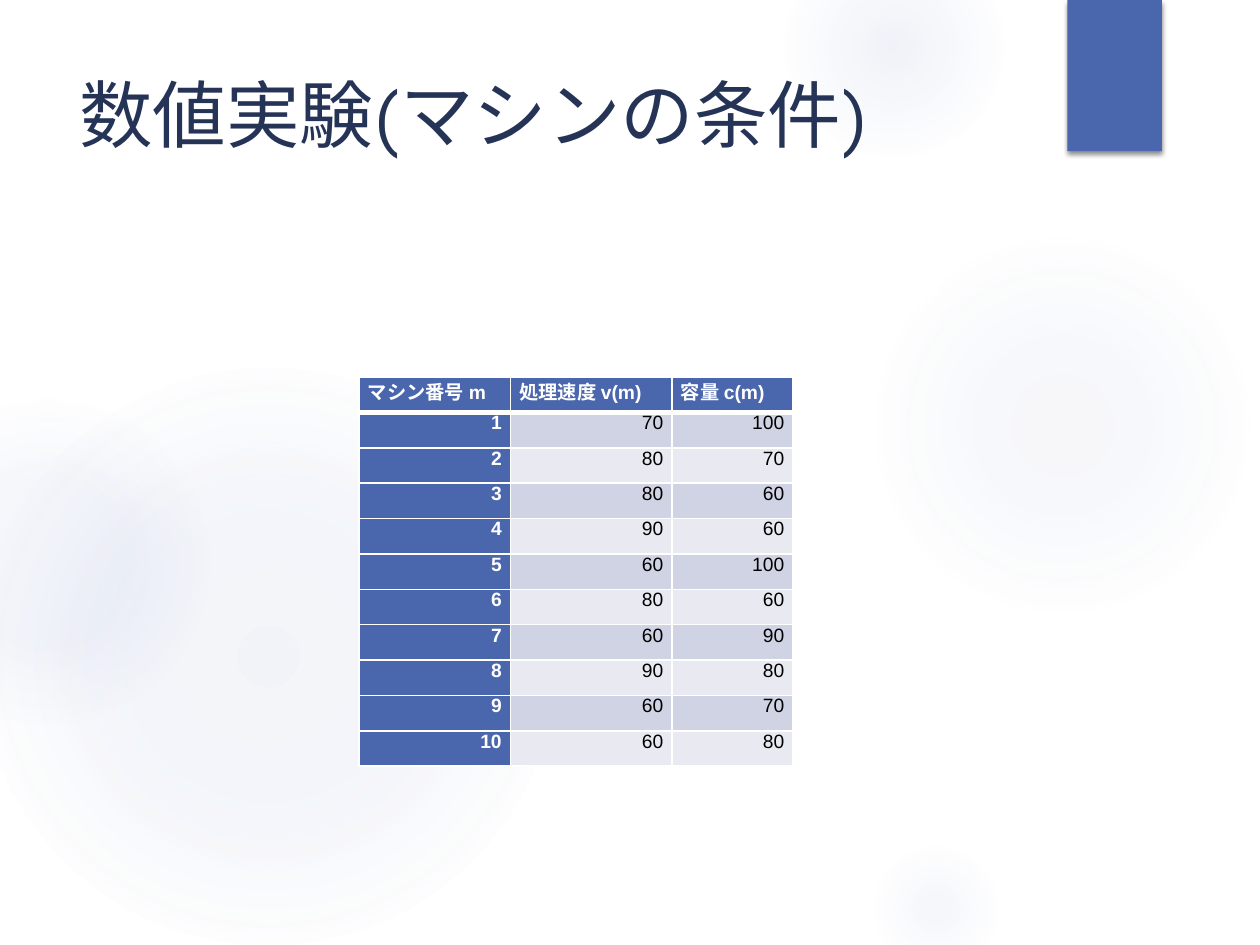
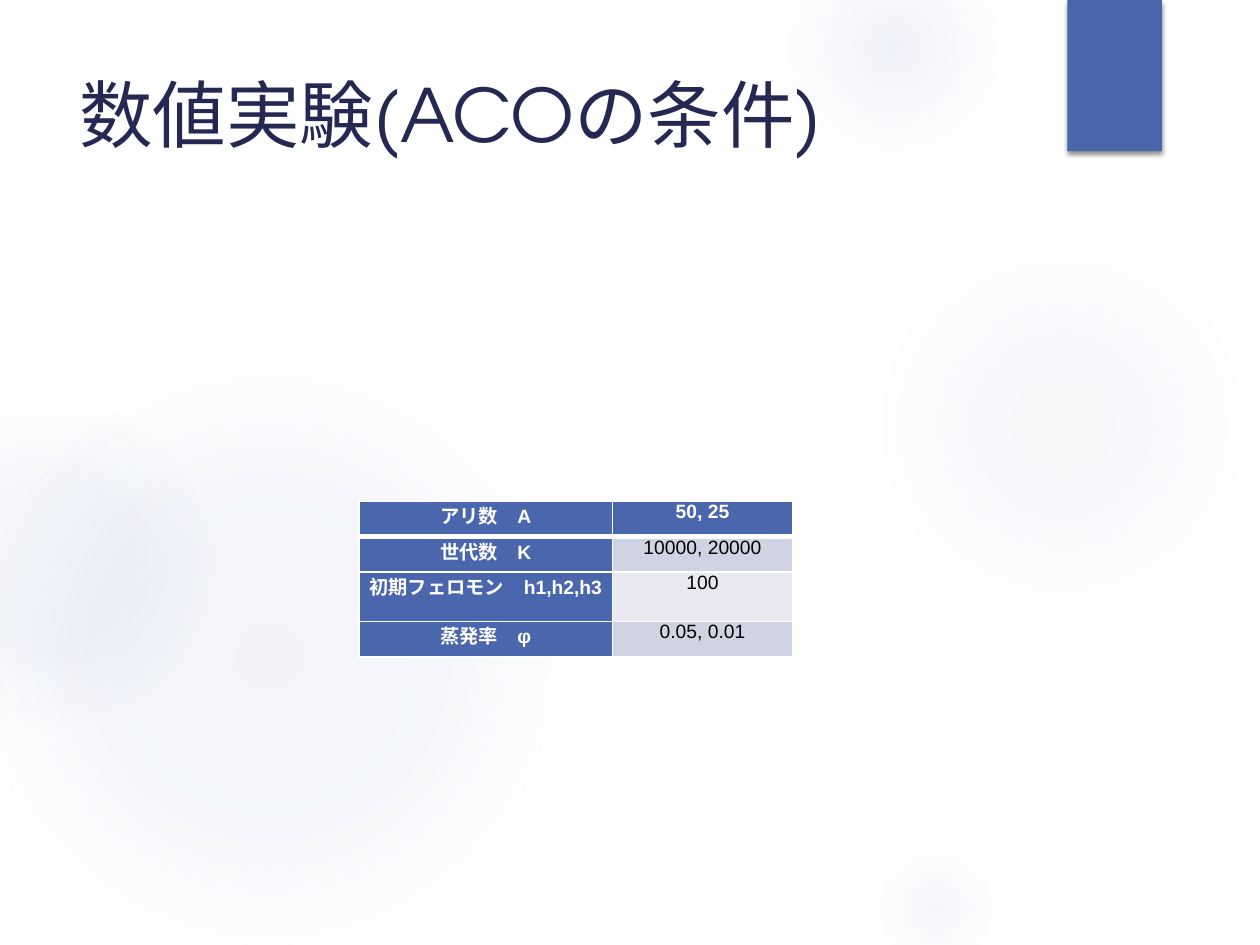
from pptx import Presentation
from pptx.dml.color import RGBColor
from pptx.enum.shapes import MSO_SHAPE as SHAPE
from pptx.enum.text import MSO_ANCHOR as ANCHOR, MSO_AUTO_SIZE as AUTO, PP_ALIGN as ALIGN
from pptx.oxml import parse_xml
from pptx.oxml.ns import nsdecls
from pptx.util import Pt

WHITE = RGBColor(0xFF, 0xFF, 0xFF)
BLACK = RGBColor(0x00, 0x00, 0x00)
BLUE = RGBColor(0x4A, 0x66, 0xAC)
GLOW = RGBColor(0x90, 0xA2, 0xCF)
NAVY = RGBColor(0x25, 0x33, 0x56)
INDIGO = RGBColor(0x24, 0x28, 0x52)
BANDS = RGBColor(0xD0, 0xD3, 0xE3), RGBColor(0xE9, 0xEA, 0xF1)
TITLE_FONT, TABLE_FONT = "TeX Gyre Adventor", "Arial"
TABLE_LEFT, ROW_HEIGHT = 205.2, 20.22

# left, top, diameter, then (position %, opacity %) stops
GLOWS = [
    (496, 132, 222, [(0, 7), (36, 6), (69, 0)]),
    (448, -36, 126, [(0, 14), (36, 7), (73, 0)]),
    (496, 480, 78, [(0, 10), (31, 5), (66, 0)]),
    (-12, 210, 330, [(0, 11), (36, 10), (75, 0)]),
    (-66, 228, 186, [(0, 8), (36, 8), (72, 0)]),
]

MACHINES = [("マシン番号 m", "処理速度 v(m)", "容量 c(m)")] + [
    (str(m), str(v), str(c)) for m, (v, c) in enumerate(
        [(70, 100), (80, 70), (80, 60), (90, 60), (60, 100),
         (80, 60), (60, 90), (90, 80), (60, 70), (60, 80)], 1)]

ACO_SETTINGS = [
    ("アリ数　A", "50, 25"),
    ("世代数　K", "10000, 20000"),
    ("初期フェロモン　h1,h2,h3", "100"),
    ("蒸発率　φ", "0.05, 0.01"),
]


class Deck:
    """Holds the presentation, its style and the current slide."""

    def __init__(self):
        self.prs = Presentation()
        self.prs.slide_width, self.prs.slide_height = Pt(720), Pt(540)
        self.s = None

    def slide(self, title, color):
        self.s = self.prs.slides.add_slide(self.prs.slide_layouts[5])
        for glow in GLOWS:
            self.glow(*glow)
        self.ribbon()
        self.title(title, color)

    def shape(self, kind, left, top, width, height):
        sp = self.s.shapes.add_shape(kind, Pt(left), Pt(top), Pt(width), Pt(height))
        sp.line.fill.background()
        sp.shadow.inherit = False
        return sp

    def glow(self, left, top, size, stops):
        sp = self.shape(SHAPE.OVAL, left, top, size, size)
        gs = "".join(
            f'<a:gs pos="{pos * 1000}"><a:srgbClr val="{GLOW}">'
            f'<a:alpha val="{alpha * 1000}"/></a:srgbClr></a:gs>' for pos, alpha in stops)
        sp._element.spPr.insert(2, parse_xml(
            f'<a:gradFill {nsdecls("a")}><a:gsLst>{gs}</a:gsLst><a:path path="circle">'
            '<a:fillToRect l="50000" t="50000" r="50000" b="50000"/></a:path></a:gradFill>'))

    def ribbon(self):
        sp = self.shape(SHAPE.RECTANGLE, 610, 0, 54, 86.4)
        sp.fill.solid()
        sp.fill.fore_color.rgb = BLUE
        sp._element.spPr.effectLst.append(parse_xml(
            f'<a:outerShdw {nsdecls("a")} blurRad="{Pt(3)}" dist="{Pt(2)}" dir="5400000" '
            f'rotWithShape="0"><a:srgbClr val="{BLACK}"><a:alpha val="45000"/>'
            '</a:srgbClr></a:outerShdw>'))

    def title(self, text, color):
        sp = self.s.shapes.title
        self.s.shapes._spTree.append(sp._element)
        sp.left, sp.top, sp.width, sp.height = Pt(38), Pt(36), Pt(556), Pt(110)
        tf = sp.text_frame
        tf.text = text
        tf.vertical_anchor, tf.auto_size, tf.word_wrap = ANCHOR.TOP, AUTO.NONE, True
        p = tf.paragraphs[0]
        p.alignment = ALIGN.LEFT
        self.font(p.runs[0], TITLE_FONT, 42, color)

    def font(self, r, name, size, color, bold=False):
        r.font.name, r.font.size, r.font.bold = name, Pt(size), bold
        r.font.color.rgb = color

    def table(self, top, widths, rows, head_align, body_align):
        tbl = self.s.shapes.add_table(
            len(rows), len(widths), Pt(TABLE_LEFT), Pt(top),
            Pt(sum(widths)), Pt(ROW_HEIGHT * len(rows))).table
        for col, width in zip(tbl.columns, widths):
            col.width = Pt(width)
        for i, row in enumerate(rows):
            tbl.rows[i].height = Pt(ROW_HEIGHT)
            for j, text in enumerate(row):
                self.cell(tbl.cell(i, j), text, i, j, body_align if i else head_align)

    def cell(self, cell, text, i, j, align):
        header = i == 0 or j == 0
        cell.margin_left = cell.margin_right = Pt(5)
        cell.margin_top = cell.margin_bottom = 0
        cell.fill.solid()
        cell.fill.fore_color.rgb = BLUE if header else BANDS[(i - 1) % 2]
        p = cell.text_frame.paragraphs[0]
        p.text, p.alignment = text, align
        self.font(p.runs[0], TABLE_FONT, 11, WHITE if header else BLACK, header)
        widths = {"L": 1, "R": 1, "T": 3 if i == 1 else 1, "B": 1 if i else 3}
        for k, (side, width) in enumerate(widths.items()):
            cell._tc.tcPr.insert(k, parse_xml(
                f'<a:ln{side} {nsdecls("a")} w="{Pt(width)}"><a:solidFill>'
                f'<a:srgbClr val="{WHITE}"/></a:solidFill></a:ln{side}>'))


def main():
    deck = Deck()
    deck.slide("数値実験(マシンの条件)", NAVY)
    deck.table(215.5, [86.5, 92.4, 69.1], MACHINES, ALIGN.JUSTIFY, ALIGN.RIGHT)
    deck.slide("数値実験(ACOの条件)", INDIGO)
    deck.table(286.5, [144.7, 103.2], ACO_SETTINGS, ALIGN.CENTER, ALIGN.CENTER)
    deck.prs.save("out.pptx")


if __name__ == "__main__":
    main()
